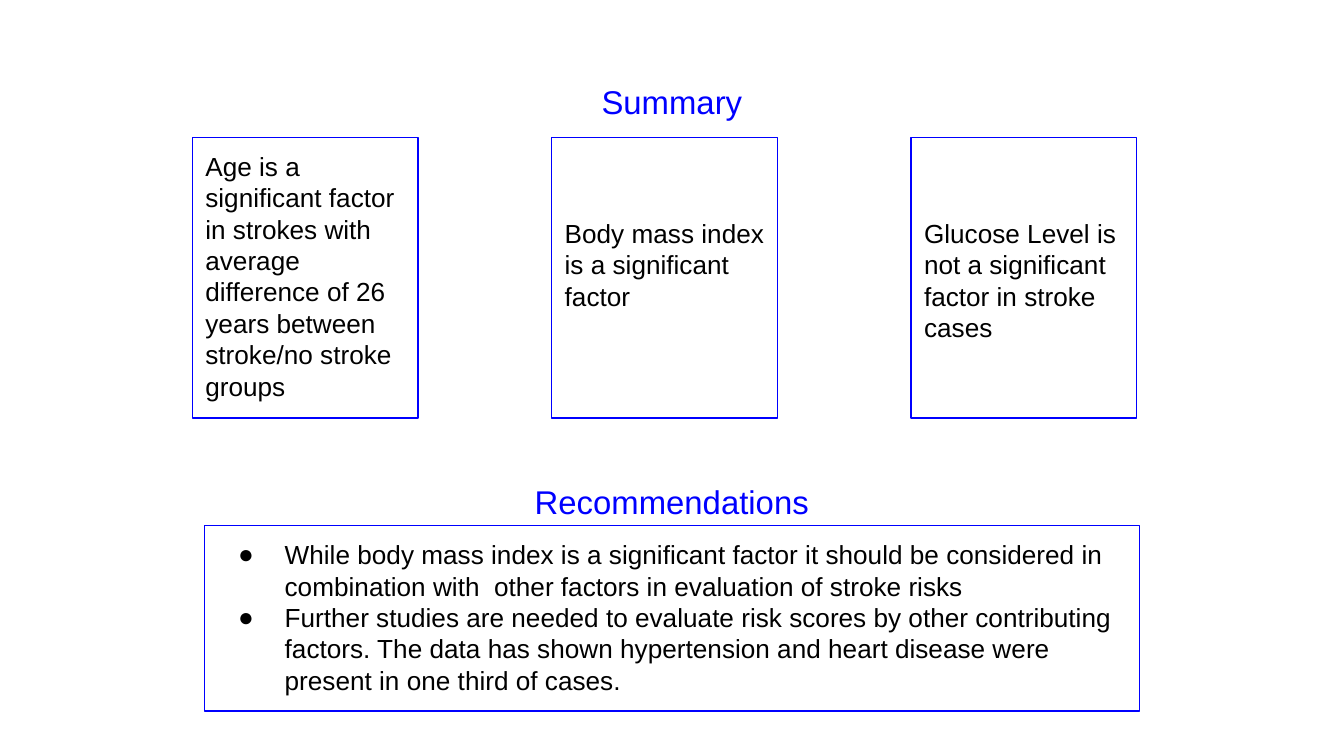
from lxml import etree
from pptx import Presentation
from pptx.dml.color import RGBColor
from pptx.enum.shapes import MSO_SHAPE
from pptx.enum.text import MSO_ANCHOR, MSO_AUTO_SIZE, PP_ALIGN
from pptx.oxml.ns import qn
from pptx.util import Pt

PX = 6350
RECT = MSO_SHAPE.RECTANGLE
TOP, MIDDLE = MSO_ANCHOR.TOP, MSO_ANCHOR.MIDDLE
LEFT, CENTER = PP_ALIGN.LEFT, PP_ALIGN.CENTER
NO_FIT = MSO_AUTO_SIZE.NONE
COLORS = {"blue": "0000FF", "black": "000000"}


def set_text(sp, *texts, size=14, color="black", align=LEFT, anchor=TOP,
             spacing=1.0, inset_top=14, bullet=None):
    tf = sp.text_frame
    tf.word_wrap = True
    tf.auto_size = NO_FIT
    tf.vertical_anchor = anchor
    tf.margin_left = tf.margin_right = tf.margin_bottom = 14 * PX
    tf.margin_top = inset_top * PX
    for i, text in enumerate(texts):
        p = tf.paragraphs[0] if i == 0 else tf.add_paragraph()
        p.alignment = align
        p.line_spacing = spacing
        p.space_before = p.space_after = Pt(0)
        pPr = p._p.get_or_add_pPr()
        pPr.set("marL", str(72 * PX if bullet else 0))
        pPr.set("indent", str(-50 * PX if bullet else 0))
        if bullet:
            etree.SubElement(pPr, qn("a:buChar"), char=bullet)
        else:
            etree.SubElement(pPr, qn("a:buNone"))
        r = p.add_run()
        r.text = text
        r.font.name = "Arial"
        r.font.size = Pt(size)
        r.font.bold = False
        r.font.color.rgb = RGBColor.from_string(COLORS[color])


def place(sp, left, top, width, height):
    sp.left, sp.top = left * PX, top * PX
    sp.width, sp.height = width * PX, height * PX


prs = Presentation()
prs.slide_width, prs.slide_height = 1440 * PX, 810 * PX
s = prs.slides.add_slide(prs.slide_layouts.get_by_name("Content with Caption"))
summary, advice, heading = s.placeholders

for sp, top, text in [(summary, 65, "Summary"), (heading, 494, "Recommendations")]:
    place(sp, 248, top, 944, 94)
    set_text(sp, text, size=17.6, color="blue", align=CENTER, anchor=MIDDLE, spacing=0.8)

findings = [
    ("Age is a significant factor in strokes with average difference of 26 years "
     "between stroke/no stroke groups", 14),
    ("Body mass index is a significant factor", 86),
    ("Glucose Level is not a significant factor in stroke cases", 86),
]
boxes = [advice]
for i, (text, inset_top) in enumerate(findings):
    sp = s.shapes.add_shape(RECT, 0, 0, 0, 0)
    place(sp, 206 + 385 * i, 147, 242, 301)
    sp.shadow.inherit = False
    set_text(sp, text, inset_top=inset_top)
    boxes.append(sp)

place(advice, 219, 563, 1002, 199)
set_text(
    advice,
    "While body mass index is a significant factor it should be considered in "
    "combination with  other factors in evaluation of stroke risks",
    "Further studies are needed to evaluate risk scores by other contributing factors. "
    "The data has shown hypertension and heart disease were present in one third of cases.",
    bullet="●",
)

for sp in boxes:
    sp.fill.background()
    sp.line.color.rgb = RGBColor.from_string(COLORS["blue"])
    sp.line.width = Pt(0.75)

prs.save("out.pptx")
